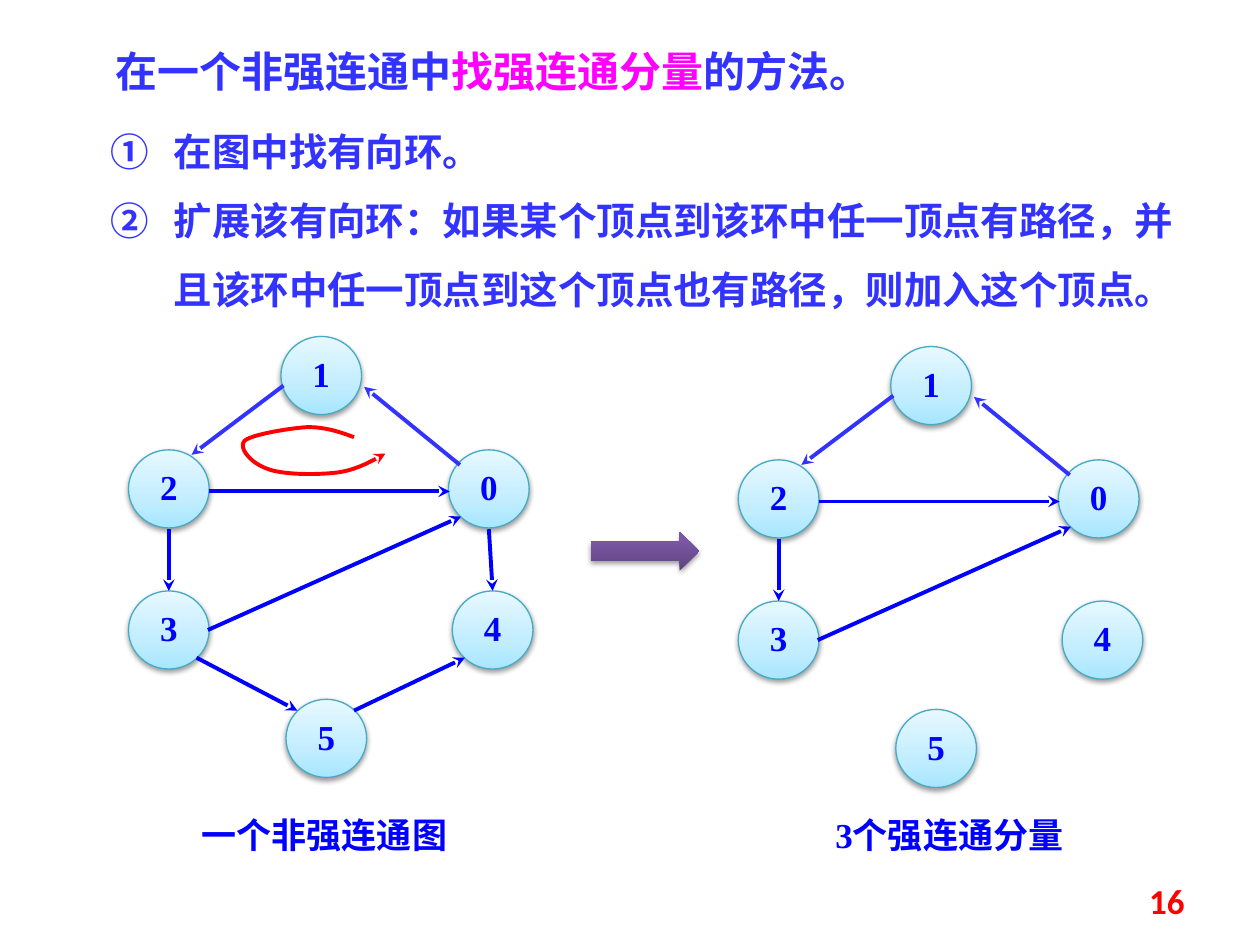
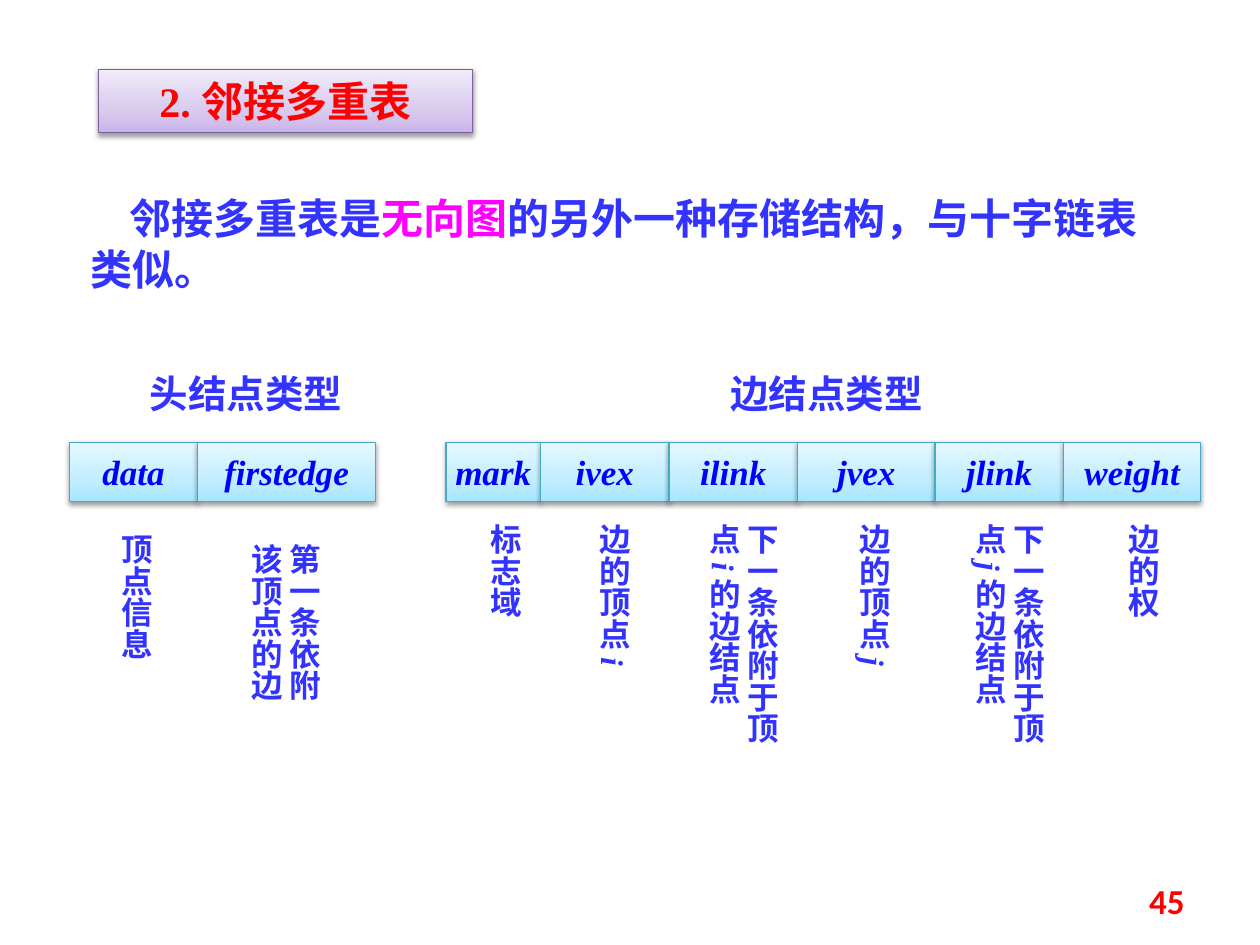
from dataclasses import dataclass

from lxml import etree
from pptx import Presentation
from pptx.dml.color import RGBColor
from pptx.enum.shapes import MSO_CONNECTOR, MSO_SHAPE
from pptx.enum.text import MSO_ANCHOR, MSO_AUTO_SIZE, PP_ALIGN
from pptx.oxml.ns import qn
from pptx.util import Inches, Pt

STRAIGHT = MSO_CONNECTOR.STRAIGHT
OVAL, RECTANGLE, RIGHT_ARROW = MSO_SHAPE.OVAL, MSO_SHAPE.RECTANGLE, MSO_SHAPE.RIGHT_ARROW
TOP, MIDDLE = MSO_ANCHOR.TOP, MSO_ANCHOR.MIDDLE
LEFT, CENTER, RIGHT = PP_ALIGN.LEFT, PP_ALIGN.CENTER, PP_ALIGN.RIGHT
NO_FIT = MSO_AUTO_SIZE.NONE


@dataclass(frozen=True)
class Theme:
    text: str = "3333FF"
    ink: str = "0000FF"
    accent: str = "FF00FF"
    alert: str = "FF0000"
    node_line: str = "46AAC5"
    title_line: str = "7D60A0"
    node_fill: tuple = ((0, "A7E6FF"), (35, "C1EDFF"), (100, "E7F8FF"))
    title_fill: tuple = ((0, "C9B5E8"), (35, "D8CBEE"), (100, "F0EAF9"))
    arrow_fill: tuple = ((0, "5F4480"), (80, "7B58A6"), (100, "7C57A8"))
    serif: str = "Times New Roman"
    cjk: str = "Noto Sans CJK SC"
    number: str = "Calibri"
    title_size: int = 24
    list_size: int = 22
    label_size: int = 20
    note_size: int = 18
    edge_width: float = 2.25
    outline_width: float = 0.75


def add_xml(parent, tag, **attributes):
    child = etree.SubElement(parent, qn(tag))
    for name, value in attributes.items():
        child.set(name, str(value))
    return child


def inches(values):
    return [Inches(value) for value in values]


class Page:
    def __init__(self, deck, theme):
        self.deck = deck
        self.theme = theme
        self.slide = None

    def start(self, number):
        self.slide = self.deck.slides.add_slide(self.deck.slide_layouts[1])
        self.text((7.17, 6.95, 2.33, 0.4), [number], self.theme.label_size,
                  self.theme.alert, self.theme.number, RIGHT, MIDDLE)

    def compose(self, paragraph, pieces, size, color, font, align=LEFT, italic=None):
        paragraph.alignment = align
        paragraph.space_before = Pt(0)
        for piece in pieces:
            content, look = piece if isinstance(piece, tuple) else (piece, None)
            run = paragraph.add_run()
            run.text = content
            if look == "italic":
                run.font.italic = True
            elif look:
                run.font.color.rgb = RGBColor.from_string(look)
        style = paragraph.font
        style.size, style.bold, style.italic = Pt(size), True, italic
        style.name = font
        style.color.rgb = RGBColor.from_string(color)
        add_xml(paragraph._p.pPr.find(qn("a:defRPr")), "a:ea", typeface=self.theme.cjk)

    def place(self, holder, box):
        holder.left, holder.top, holder.width, holder.height = inches(box)
        frame = holder.text_frame
        frame.auto_size, frame.word_wrap = NO_FIT, True
        frame.vertical_anchor = TOP
        return frame

    def title(self, box, pieces, color, align=LEFT):
        holder = self.slide.shapes.title
        frame = self.place(holder, box)
        self.compose(frame.paragraphs[0], pieces, self.theme.title_size, color,
                     self.theme.serif, align)
        return holder

    def body(self, box, items, size, margin, indent, bullet=None, spacing=1.0):
        frame = self.place(self.slide.placeholders[1], box)
        for index, pieces in enumerate(items):
            paragraph = frame.add_paragraph() if index else frame.paragraphs[0]
            paragraph.line_spacing = spacing
            paragraph.space_before = Pt(0)
            properties = paragraph._p.get_or_add_pPr()
            properties.set("marL", str(Inches(margin)))
            properties.set("indent", str(Inches(indent)))
            if bullet:
                add_xml(properties, "a:buFont", typeface="+mj-lt")
                add_xml(properties, "a:buAutoNum", type=bullet)
            else:
                add_xml(properties, "a:buNone")
            self.compose(paragraph, pieces, size, self.theme.text, self.theme.cjk)

    def text(self, box, pieces, size, color, font, align=LEFT, anchor=TOP, vertical=False):
        frame = self.slide.shapes.add_textbox(*inches(box)).text_frame
        frame.word_wrap, frame.vertical_anchor = True, anchor
        if vertical:
            frame._txBody.bodyPr.set("vert", "eaVert")
        self.compose(frame.paragraphs[0], pieces, size, color, font, align)

    def glossy(self, shape, stops, outline=None):
        shape.fill.gradient()
        shape.fill.gradient_angle = 90
        properties = shape._element.spPr
        stop_list = properties.find(qn("a:gradFill")).find(qn("a:gsLst"))
        for stop in list(stop_list):
            stop_list.remove(stop)
        for position, color in stops:
            add_xml(add_xml(stop_list, "a:gs", pos=position * 1000), "a:srgbClr", val=color)
        if outline:
            shape.line.color.rgb = RGBColor.from_string(outline)
            shape.line.width = Pt(self.theme.outline_width)
        else:
            shape.line.fill.background()
        shape.shadow.inherit = False
        shadow = add_xml(properties.find(qn("a:effectLst")), "a:outerShdw", blurRad=Pt(3.1),
                         dist=Pt(1.6), dir=5400000, rotWithShape=0)
        add_xml(add_xml(shadow, "a:srgbClr", val="000000"), "a:alpha", val=38000)

    def shape(self, kind, box, stops, outline=None):
        shape = self.slide.shapes.add_shape(kind, *inches(box))
        self.glossy(shape, stops, outline)
        return shape

    def node(self, x, y, label):
        theme = self.theme
        frame = self.shape(OVAL, (x, y, 0.64, 0.62), theme.node_fill, theme.node_line).text_frame
        frame.margin_left = frame.margin_right = frame.margin_bottom = 0
        frame.margin_top = Inches(0.12)
        frame.vertical_anchor = TOP
        paragraph = frame.paragraphs[0]
        paragraph.line_spacing = 0.72
        self.compose(paragraph, [label], theme.label_size, theme.ink, theme.serif, CENTER)

    def field(self, box, name):
        theme = self.theme
        frame = self.shape(RECTANGLE, box, theme.node_fill, theme.node_line).text_frame
        frame.word_wrap, frame.vertical_anchor = False, MIDDLE
        self.compose(frame.paragraphs[0], [name], theme.label_size, theme.ink,
                     theme.serif, CENTER, italic=True)

    def stroke(self, shape, color):
        shape.line.color.rgb = RGBColor.from_string(color)
        shape.line.width = Pt(self.theme.edge_width)
        add_xml(shape._element.spPr.find(qn("a:ln")), "a:tailEnd", type="stealth")

    def edge(self, start, end, color):
        edge = self.slide.shapes.add_connector(STRAIGHT, *inches(start + end))
        self.stroke(edge, color)
        add_xml(edge._element.spPr, "a:effectLst")

    def curve(self, start, segments, color, steps=12):
        points, origin = [], start
        for segment in segments:
            controls = (origin,) + segment
            for step in range(1, steps + 1):
                t = step / steps
                weights = ((1 - t) ** 3, 3 * t * (1 - t) ** 2, 3 * t * t * (1 - t), t ** 3)
                points.append(tuple(Inches(sum(w * c[axis] for w, c in zip(weights, controls)))
                                    for axis in (0, 1)))
            origin = segment[-1]
        builder = self.slide.shapes.build_freeform(*inches(start))
        builder.add_line_segments(points, close=False)
        outline = builder.convert_to_shape()
        outline.fill.background()
        outline.shadow.inherit = False
        self.stroke(outline, color)


NODES = {"1": (2.23, 2.67), "0": (3.56, 3.57), "2": (1.02, 3.57),
         "3": (1.02, 4.69), "4": (3.59, 4.69), "5": (2.27, 5.55)}
CYCLE_EDGES = [((1.66, 3.9), (3.57, 3.9)), ((1.34, 4.2), (1.34, 4.69)),
               ((1.65, 5), (3.66, 4.1))]
UPPER_EDGES = [((2.25, 3.06), (1.52, 3.61)), ((3.65, 3.69), (2.89, 3.07))]
OUTER_EDGES = [((1.56, 5.22), (2.36, 5.64)), ((3.88, 4.2), (3.91, 4.69)),
               ((2.81, 5.64), (3.69, 5.22))]
LOOP = [((2.7, 3.43), (2.59, 3.39), (2.44, 3.39)), ((2.29, 3.4), (1.99, 3.45), (1.94, 3.5)),
        ((1.89, 3.56), (2, 3.68), (2.12, 3.72)), ((2.24, 3.77), (2.52, 3.77), (2.68, 3.75)),
        ((2.83, 3.73), (2.95, 3.66), (3.06, 3.6))]


def draw_graph(page, dx, dy, ink_edges):
    def moved(point):
        return point[0] + dx, point[1] + dy

    for label, corner in NODES.items():
        page.node(*moved(corner), label)
    for edges, color in ((ink_edges, page.theme.ink), (UPPER_EDGES, page.theme.text)):
        for start, end in edges:
            page.edge(moved(start), moved(end), color)


def components_slide(page):
    theme = page.theme
    page.start("16")
    page.title((0.82, 0.31, 6.99, 0.5),
               ["在一个非强连通中", ("找强连通分量", theme.accent), "的方法。"], theme.text)
    page.body((0.78, 0.78, 8.91, 1.77),
              [["在图中找有向环。"],
               ["扩展该有向环：如果某个顶点到该环中任一顶点有路径，"
                "并且该环中任一顶点到这个顶点也有路径，则加入这个顶点。"]],
              theme.list_size, 0.5, -0.5, "circleNumDbPlain", 1.5)
    draw_graph(page, 0, 0, CYCLE_EDGES + OUTER_EDGES)
    page.curve((2.81, 3.47), LOOP, theme.alert)
    draw_graph(page, 4.84, 0.08, CYCLE_EDGES)
    page.shape(RIGHT_ARROW, (4.69, 4.22, 0.86, 0.31), theme.arrow_fill)
    for left, width, caption in ((1.48, 2.19, "一个非强连通图"), (6.4, 2.27, "3个强连通分量")):
        page.text((left, 6.41, width, 0.44), [caption], theme.label_size,
                  theme.ink, theme.serif, CENTER)


def multilist_slide(page):
    theme = page.theme
    page.start("45")
    heading = page.title((0.78, 0.55, 2.97, 0.5), ["2. 邻接多重表"], theme.alert, CENTER)
    page.glossy(heading, theme.title_fill, theme.title_line)
    page.body((0.62, 1.48, 8.75, 0.91),
              [["邻接多重表是", ("无向图", theme.accent),
                "的另外一种存储结构，与十字链表类似。"]], theme.title_size, 0, 0.31)

    records = [(1.09, "头结点类型", 0.55, [("data", 1.02), ("firstedge", 1.41)]),
               (5.7, "边结点类型", 3.54, [("mark", 0.75), ("ivex", 1.02), ("ilink", 1.02),
                                     ("jvex", 1.09), ("jlink", 1.02), ("weight", 1.09)])]
    for caption_left, caption, left, fields in records:
        page.text((caption_left, 2.89, 1.95, 0.47), [caption], theme.list_size,
                  theme.text, theme.cjk)
        for name, width in fields:
            page.field((left, 3.51, width, 0.47), name)
            left += width

    meanings = [((0.78, 4.14, 0.5, 1.33), ["顶点信息"]),
                ((1.8, 4.22, 0.81, 1.48), ["第一条依附该顶点的边"]),
                ((3.71, 4.06, 0.5, 1.33), ["标志域"]),
                ((4.57, 4.06, 0.5, 1.33), ["边的顶点 ", ("i", "italic")]),
                ((5.44, 4.06, 0.81, 1.95), ["下一条依附于顶点 ", ("i ", "italic"), "的边结点"]),
                ((6.64, 4.06, 0.5, 1.41), ["边的顶点 ", ("j", "italic")]),
                ((7.55, 4.06, 0.81, 1.95), ["下一条依附于顶点 ", ("j ", "italic"), "的边结点"]),
                ((8.77, 4.06, 0.5, 1.09), ["边的权"])]
    for box, pieces in meanings:
        page.text(box, pieces, theme.note_size, theme.text, theme.serif, vertical=True)


def main():
    deck = Presentation()
    deck.slide_width, deck.slide_height = Inches(10), Inches(7.5)
    page = Page(deck, Theme())
    components_slide(page)
    multilist_slide(page)
    deck.save("out.pptx")


if __name__ == "__main__":
    main()
